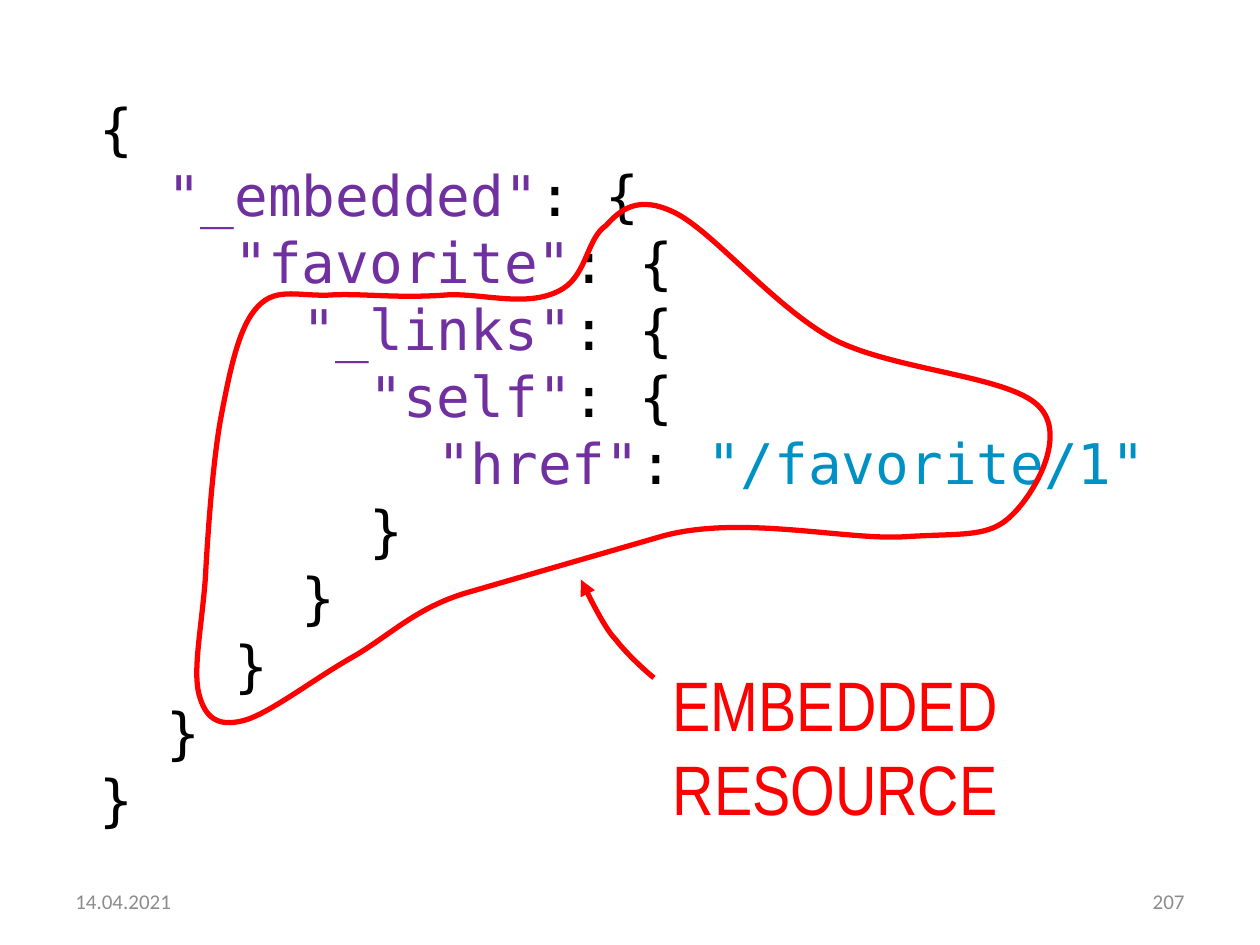
from lxml import etree
from pptx import Presentation
from pptx.dml.color import RGBColor
from pptx.enum.text import MSO_ANCHOR, PP_ALIGN
from pptx.oxml.ns import qn
from pptx.util import Inches, Pt

LEFT, RIGHT = PP_ALIGN.LEFT, PP_ALIGN.RIGHT
TOP, MIDDLE = MSO_ANCHOR.TOP, MSO_ANCHOR.MIDDLE

BLACK, PURPLE, BLUE = "000000", "7030A0", "0091C4"
RED, GRAY = "FF0000", "8C8C8C"
CODE_FONT, LABEL_FONT, FOOTER_FONT = "DejaVu Sans Mono", "Arial Narrow", "Calibri"

CODE = [
    [("{ \n  ", BLACK), ('"_embedded"', PURPLE), (": {", BLACK)],
    [("    ", BLACK), ('"favorite"', PURPLE), (": {\n      ", BLACK),
     ('"_links"', PURPLE), (": {\n        ", BLACK),
     ('"self"', PURPLE), (": {", BLACK)],
    [("          ", BLUE), ('"href"', PURPLE), (":", BLACK),
     (' "/favorite/1"\n        ', BLUE), ("}", BLACK)],
    [("      }", BLACK)],
    [("    }\n  }", BLACK)],
    [("}", BLACK)],
]

ARROW = [
    [(5.19, 5.38)],
    [(5.08, 5.29), (4.95, 5.16), (4.89, 5.08)],
    [(4.82, 5.01), (4.69, 4.77), (4.61, 4.6)],
]

OUTLINE = [
    [(4.81, 1.79)],
    [(4.92, 1.67), (5.06, 1.54), (5.36, 1.69)],
    [(5.66, 1.84), (6.14, 2.43), (6.61, 2.69)],
    [(7.09, 2.94), (8, 2.98), (8.24, 3.22)],
    [(8.48, 3.45), (8.21, 3.92), (8.03, 4.09)],
    [(7.85, 4.27), (7.64, 4.23), (7.18, 4.26)],
    [(6.71, 4.29), (5.86, 4.08), (5.24, 4.26)],
    [(3.72, 4.7)],
    [(3.3, 4.82), (3.09, 5.05), (2.79, 5.22)],
    [(2.49, 5.39), (2.13, 5.67), (1.93, 5.72)],
    [(1.73, 5.77), (1.63, 5.7), (1.58, 5.51)],
    [(1.53, 5.32), (1.6, 4.98), (1.63, 4.6)],
    [(1.65, 4.23), (1.69, 3.64), (1.76, 3.28)],
    [(1.83, 2.92), (1.9, 2.58), (2.05, 2.43)],
    [(2.2, 2.27), (2.39, 2.36), (2.65, 2.34)],
    [(2.9, 2.33), (3.17, 2.37), (3.56, 2.34)],
    [(3.86, 2.33), (4.21, 2.45), (4.47, 2.29)],
    [(4.66, 2.17), (4.66, 1.89), (4.81, 1.79)],
]


def rgb(value):
    return RGBColor.from_string(value)


def add_text(p, text, font, size, color):
    for i, part in enumerate(text.split("\n")):
        if i:
            p.add_line_break()
        if part:
            r = p.add_run()
            r.text = part
            r.font.name = font
            r.font.size = Pt(size)
            r.font.color.rgb = rgb(color)


class SlideBuilder:
    def __init__(self, slide, line_color, line_width):
        self.slide = slide
        self.line_color = line_color
        self.line_width = line_width

    def text(self, lines, box, font, size, align=LEFT, anchor=TOP,
             left_inset=0.1, spacing=None):
        sp = self.slide.shapes.add_textbox(*(Inches(v) for v in box))
        tf = sp.text_frame
        tf.word_wrap = True
        tf.vertical_anchor = anchor
        tf.margin_left = Inches(left_inset)
        for i, line in enumerate(lines):
            p = tf.add_paragraph() if i else tf.paragraphs[0]
            p.alignment = align
            p.font.size = Pt(size)
            if spacing:
                p.line_spacing = Pt(spacing)
            for text, color in line:
                add_text(p, text, font, size, color)

    def curve(self, segments, box, closed=False, arrow=False):
        left, top, width, height = (Inches(v) for v in box)
        ends = [(Inches(x), Inches(y)) for x, y in (seg[-1] for seg in segments)]
        builder = self.slide.shapes.build_freeform(*ends[0])
        builder.add_line_segments(ends[1:], close=closed)
        sp = builder.convert_to_shape()
        sp.left, sp.top, sp.width, sp.height = left, top, width, height
        outline = next(sp.element.iter(qn("a:path")))
        outline.set("w", str(width))
        outline.set("h", str(height))
        for child in list(outline):
            outline.remove(child)
        for i, segment in enumerate(segments):
            tag = "a:cubicBezTo" if len(segment) == 3 else "a:lnTo"
            node = etree.SubElement(outline, qn(tag if i else "a:moveTo"))
            for x, y in segment:
                etree.SubElement(node, qn("a:pt"), x=str(Inches(x) - left),
                                 y=str(Inches(y) - top))
        if closed:
            etree.SubElement(outline, qn("a:close"))
        sp.shadow.inherit = False
        sp.fill.background()
        sp.line.color.rgb = rgb(self.line_color)
        sp.line.width = Pt(self.line_width)
        if arrow:
            ln = next(sp.element.iter(qn("a:ln")))
            etree.SubElement(ln, qn("a:tailEnd"), type="triangle")


def main():
    prs = Presentation()
    prs.slide_width, prs.slide_height = Inches(10), Inches(7.5)
    s = SlideBuilder(prs.slides.add_slide(prs.slide_layouts[6]), RED, 3)

    s.text([[("14.04.2021", GRAY)]], (0.5, 6.95, 2.33, 0.4),
           FOOTER_FONT, 12, anchor=MIDDLE)
    s.text([[("207", GRAY)]], (7.17, 6.95, 2.33, 0.4),
           FOOTER_FONT, 12, align=RIGHT, anchor=MIDDLE)
    s.text(CODE, (0, 0.66, 10, 6.02), CODE_FONT, 32, anchor=MIDDLE,
           left_inset=0.79, spacing=38.35)
    s.text([[("EMBEDDED RESOURCE", RED)]], (5.24, 5.2, 3.85, 0.77),
           LABEL_FONT, 40)
    s.curve(ARROW, (4.61, 4.6, 0.58, 0.77), arrow=True)
    s.curve(OUTLINE, (1.56, 1.62, 6.77, 4.11), closed=True)

    prs.save("out.pptx")


if __name__ == "__main__":
    main()
